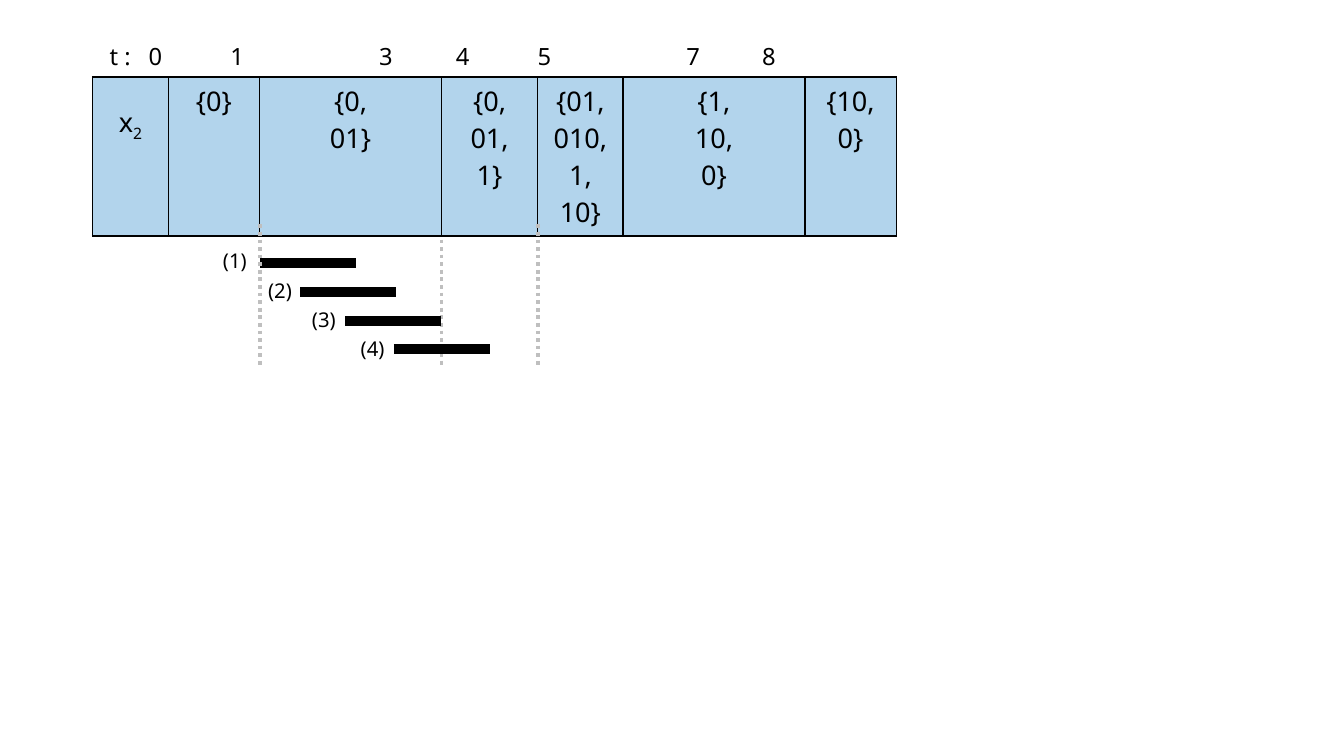
"""Build a slide of state sets over time with four numbered window bars."""
import pptx
import pptx.dml.color
import pptx.enum.dml
import pptx.enum.shapes
import pptx.enum.text
import pptx.oxml
import pptx.oxml.ns
import pptx.util
from pptx.util import Inches

BLACK = pptx.dml.color.RGBColor(0x00, 0x00, 0x00)
GREY = pptx.dml.color.RGBColor(0xBF, 0xBF, 0xBF)
SKY = pptx.dml.color.RGBColor(0xB2, 0xD4, 0xEC)
FONT = "Noto Sans"
NAMESPACE = pptx.oxml.ns.nsdecls("a")

TABLE_LEFT, TABLE_TOP, ROW_HEIGHT = 0.76, 0.63, 1.3
COLUMN_WIDTHS = [0.62, 0.75, 1.49, 0.79, 0.7, 1.49, 0.75]
STATE_SETS = [
    ["{0}"],
    ["{0,", "01}"],
    ["{0,", "01,", "1}"],
    ["{01,", "010,", "1,", "10}"],
    ["{1,", "10,", "0}"],
    ["{10,", "0}"],
]
TIME_STOPS = {"0": 0.32, "1": 0.99, "3": 2.21, "4": 2.84, "5": 3.51, "7": 4.73, "8": 5.35}
WINDOWS = [("(1)", 1.73, 2.13), ("(2)", 2.1, 2.46), ("(3)", 2.46, 2.83), ("(4)", 2.86, 3.23)]
WINDOW_LENGTH = 0.79
DOTTED = {"width": pptx.util.Pt(2.25), "dash_style": pptx.enum.dml.MSO_LINE.ROUND_DOT}
BAR = {"width": pptx.util.Pt(6)}


def apply_format(target, values):
    for name, value in values.items():
        setattr(target, name, value)


def add_run(paragraph, wording, size):
    run = paragraph.add_run()
    apply_format(run, {"text": wording})
    apply_format(run.font, {"name": FONT, "size": pptx.util.Pt(size)})
    run.font.color.rgb = BLACK
    return run


def add_line(slide, start, end, color, values):
    connector = slide.shapes.add_connector(
        pptx.enum.shapes.MSO_CONNECTOR.STRAIGHT, *map(Inches, start + end))
    connector.line.color.rgb = color
    apply_format(connector.line, values)
    connector._element.spPr.append(pptx.oxml.parse_xml(f"<a:effectLst {NAMESPACE}/>"))


def add_divider(slide, x):
    add_line(slide, (x, 1.84), (x, 3.02), GREY, DOTTED)


def add_label(slide, wording, left, top, width, size):
    label = slide.shapes.add_textbox(*map(Inches, (left, top, width, 0.25)))
    label.text_frame.word_wrap = True
    paragraph = label.text_frame.paragraphs[0]
    add_run(paragraph, wording, size)
    return paragraph


def add_time_axis(slide):
    paragraph = add_label(slide, "\t".join(["t :", *TIME_STOPS]), 0.8, 0.29, 6.88, 14)
    stops = "".join(
        f'<a:tab pos="{Inches(stop)}" algn="l"/>' for stop in TIME_STOPS.values())
    paragraph._p.get_or_add_pPr().append(
        pptx.oxml.parse_xml(f"<a:tabLst {NAMESPACE}>{stops}</a:tabLst>"))


def format_cell(cell):
    properties = cell._tc.get_or_add_tcPr()
    for position, side in enumerate(("lnL", "lnR", "lnT", "lnB")):
        properties.insert(position, pptx.oxml.parse_xml(
            f'<a:{side} {NAMESPACE} w="12700"><a:solidFill>'
            f'<a:srgbClr val="{BLACK}"/></a:solidFill></a:{side}>'))
    cell.fill.solid()
    cell.fill.fore_color.rgb = SKY


def add_cell_lines(cell, lines):
    for index, wording in enumerate(lines):
        frame = cell.text_frame
        paragraph = frame.add_paragraph() if index else frame.paragraphs[0]
        paragraph.alignment = pptx.enum.text.PP_ALIGN.CENTER
        add_run(paragraph, wording, 16)


def add_state_table(slide):
    table = slide.shapes.add_table(
        1, len(COLUMN_WIDTHS),
        *map(Inches, (TABLE_LEFT, TABLE_TOP, sum(COLUMN_WIDTHS), ROW_HEIGHT))).table
    apply_format(table, {"first_row": False, "horz_banding": False})
    for column, width in zip(table.columns, COLUMN_WIDTHS):
        column.width = Inches(width)
    for index, lines in enumerate([["x"], *STATE_SETS]):
        cell = table.cell(0, index)
        format_cell(cell)
        add_cell_lines(cell, lines)
    variable = table.cell(0, 0)
    variable.margin_top = Inches(0.22)
    subscript = add_run(variable.text_frame.paragraphs[0], "2", 16)
    subscript._r.get_or_add_rPr().set("baseline", "-25000")


def add_windows(slide):
    for index, (wording, label_left, start) in enumerate(WINDOWS):
        y = 2.16 + 0.235 * index
        add_line(slide, (start, y), (start + WINDOW_LENGTH, y), BLACK, BAR)
        add_label(slide, wording, label_left, 1.99 + 0.24 * index, 0.44, 12)


def main():
    presentation = pptx.Presentation()
    apply_format(presentation, {"slide_width": Inches(11.02), "slide_height": Inches(6.2)})
    slide = presentation.slides.add_slide(presentation.slide_layouts[6])
    add_divider(slide, 3.62)
    add_state_table(slide)
    add_time_axis(slide)
    add_windows(slide)
    for x in (4.41, 2.13):
        add_divider(slide, x)
    presentation.save("out.pptx")


if __name__ == "__main__":
    main()
